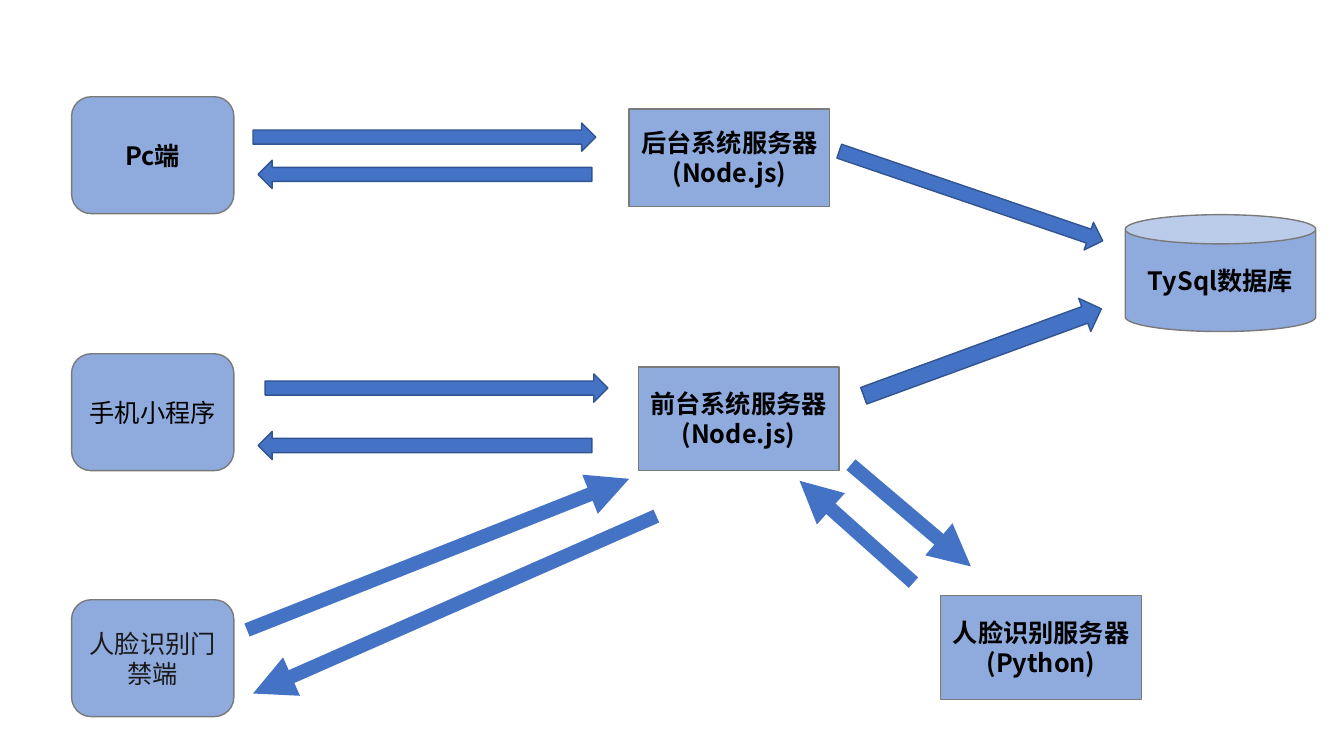
from pptx import Presentation
from pptx.dml.color import RGBColor
from pptx.enum.shapes import MSO_CONNECTOR, MSO_SHAPE
from pptx.enum.text import MSO_ANCHOR, PP_ALIGN
from pptx.oxml.ns import qn
from pptx.util import Inches, Pt
from lxml import etree

NODE_FILL = RGBColor(0x8F, 0xAA, 0xDC)
NODE_LINE = RGBColor(0x7A, 0x7A, 0x7A)
ARROW_FILL = RGBColor(0x44, 0x72, 0xC4)
ARROW_LINE = RGBColor(0x32, 0x54, 0x91)
BLACK = RGBColor(0x00, 0x00, 0x00)
DARK_GRAY = RGBColor(0x19, 0x19, 0x19)
FONT = "Noto Sans CJK SC"

presentation = Presentation()
presentation.slide_width = Inches(13.33)
presentation.slide_height = Inches(7.5)
slide = presentation.slides.add_slide(presentation.slide_layouts[6])


def add_filled_shape(kind, left, top, width, height, fill, line):
    shape = slide.shapes.add_shape(
        kind, Inches(left), Inches(top), Inches(width), Inches(height))
    shape.shadow.inherit = False
    shape.fill.solid()
    shape.fill.fore_color.rgb = fill
    shape.line.color.rgb = line
    shape.line.width = Pt(1)
    return shape


# Clients, servers and database
CLIENT, SERVER, DATABASE = (
    MSO_SHAPE.ROUNDED_RECTANGLE, MSO_SHAPE.RECTANGLE, MSO_SHAPE.CAN)
nodes = [
    (CLIENT, 0.71, 0.96, 1.61, 1.16, "Pc端", True, BLACK),
    (CLIENT, 0.71, 3.51, 1.61, 1.16, "手机小程序", False, BLACK),
    (CLIENT, 0.71, 5.95, 1.61, 1.16, "人脸识别门禁端", False, DARK_GRAY),
    (SERVER, 6.24, 1.08, 1.99, 0.97, "后台系统服务器\n(Node.js)", True, BLACK),
    (SERVER, 6.33, 3.64, 1.99, 1.03, "前台系统服务器\n(Node.js)", True, BLACK),
    (SERVER, 9.33, 5.91, 1.99, 1.03, "人脸识别服务器\n(Python)", True, BLACK),
    (DATABASE, 11.16, 2.13, 1.89, 1.16, "TySql数据库", True, BLACK),
]
for kind, left, top, width, height, text, bold, color in nodes:
    node = add_filled_shape(kind, left, top, width, height, NODE_FILL, NODE_LINE)
    frame = node.text_frame
    frame.word_wrap = True
    frame.vertical_anchor = MSO_ANCHOR.MIDDLE
    frame.text = text
    for paragraph in frame.paragraphs:
        paragraph.alignment = PP_ALIGN.CENTER
        paragraph.font.name = FONT
        paragraph.font.size = Pt(18)
        paragraph.font.bold = bold
        paragraph.font.color.rgb = color
        # East Asian typeface follows the Latin one
        latin = paragraph._p.pPr.find(qn("a:defRPr")).find(qn("a:latin"))
        east_asian = etree.Element(qn("a:ea"), typeface=FONT)
        latin.addnext(east_asian)

# Block arrows
RIGHT, LEFT = MSO_SHAPE.RIGHT_ARROW, MSO_SHAPE.LEFT_ARROW
block_arrows = [
    (RIGHT, 2.51, 1.22, 3.4, 0.28, 0),
    (LEFT, 2.56, 1.59, 3.31, 0.28, 0),
    (RIGHT, 2.63, 3.71, 3.4, 0.28, 0),
    (LEFT, 2.56, 4.28, 3.31, 0.28, 0),
    (RIGHT, 8.25, 1.8, 2.76, 0.29, 18.8),
    (RIGHT, 8.49, 3.32, 2.51, 0.35, 339.9),
]
for kind, left, top, width, height, rotation in block_arrows:
    arrow = add_filled_shape(kind, left, top, width, height, ARROW_FILL, ARROW_LINE)
    arrow.rotation = rotation

# Thick line arrows around the front-end server
line_arrows = [
    (2.45, 6.25, 6.24, 4.75),
    (6.51, 5.12, 2.51, 6.88),
    (8.44, 4.61, 9.63, 5.62),
    (9.06, 5.78, 7.93, 4.77),
]
for points in line_arrows:
    connector = slide.shapes.add_connector(
        MSO_CONNECTOR.STRAIGHT, *[Inches(value) for value in points])
    connector.line.color.rgb = ARROW_FILL
    connector.line.width = Pt(10)
    etree.SubElement(connector.line._get_or_add_ln(), qn("a:tailEnd"), type="triangle")
    etree.SubElement(connector._element.spPr, qn("a:effectLst"))

presentation.save("out.pptx")
